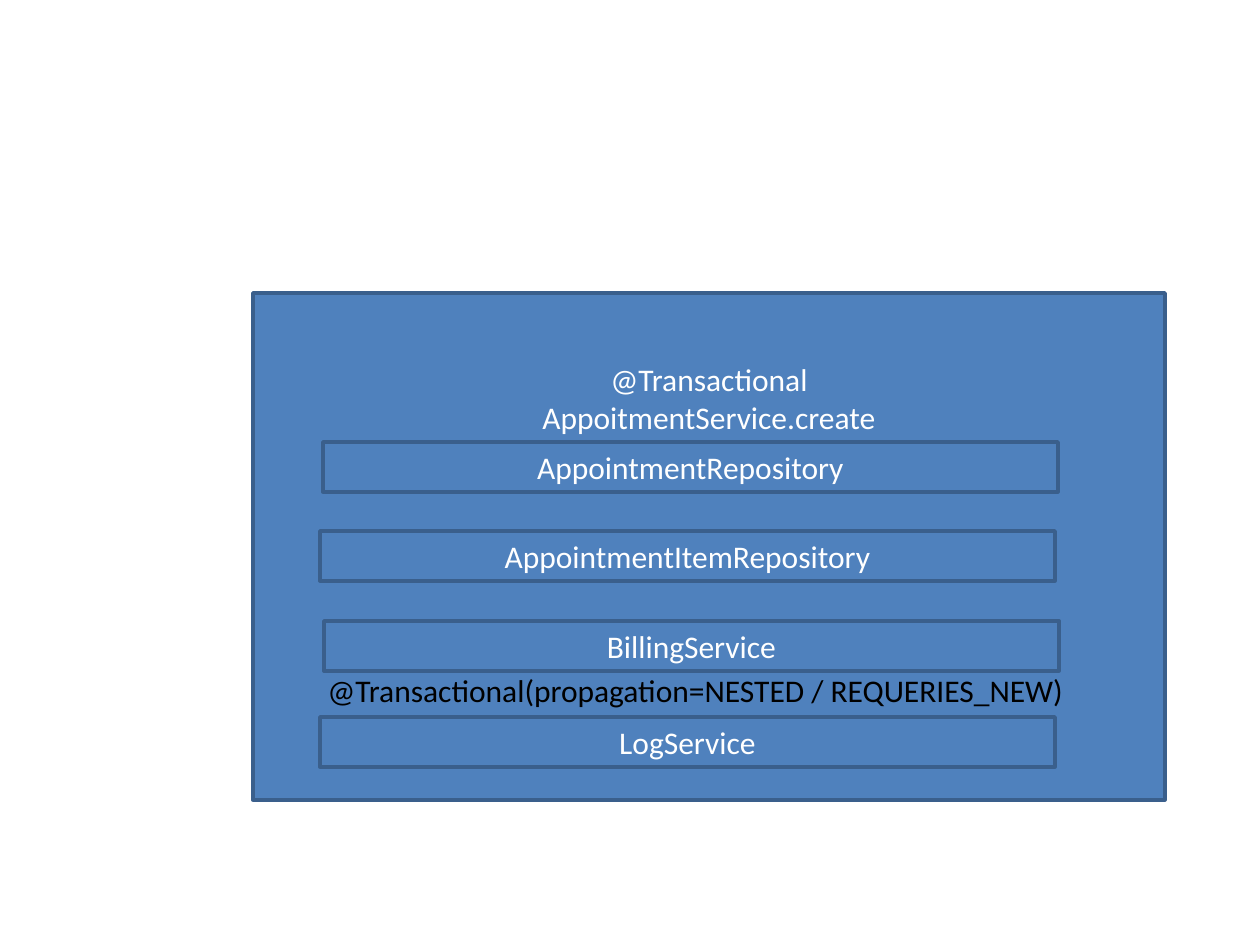
from pptx import Presentation
from pptx.dml.color import RGBColor
from pptx.enum.shapes import MSO_SHAPE as Shape
from pptx.enum.text import MSO_ANCHOR as Anchor, PP_ALIGN as Align
from pptx.util import Emu, Pt

SCALE = 914400 / 126
COLORS = {"fill": "4F81BD", "line": "3A5F8C", "light": "FFFFFF", "dark": "000000"}


def px(value):
    return Emu(round(value * SCALE))


def color(name):
    return RGBColor.from_string(COLORS[name])


def write(frame, lines, tone, align):
    para = frame.paragraphs[0]
    para.alignment = align
    for index, line in enumerate(lines):
        if index:
            para.add_line_break()
        span = para.add_run()
        span.text = line
        span.font.name = "Calibri"
        span.font.size = Pt(18)
        span.font.color.rgb = color(tone)


def add_block(page, left, top, width, height, lines):
    box = page.shapes.add_shape(Shape.RECTANGLE, px(left), px(top), px(width), px(height))
    box.shadow.inherit = False
    box.fill.solid()
    box.fill.fore_color.rgb = color("fill")
    box.line.color.rgb = color("line")
    box.line.width = Pt(2)
    frame = box.text_frame
    frame.word_wrap = True
    frame.vertical_anchor = Anchor.MIDDLE
    write(frame, lines, "light", Align.CENTER)
    return box


def add_note(page, left, top, width, height, text):
    box = page.shapes.add_textbox(px(left), px(top), px(width), px(height))
    box.text_frame.word_wrap = False
    write(box.text_frame, [text], "dark", Align.LEFT)


def add_transaction(page, left, top, width, height):
    # Outer service, its heading set above the nested calls
    service = add_block(page, left, top, width, height,
                        ["@Transactional", "AppoitmentService.create"])
    service.text_frame.vertical_anchor = Anchor.TOP
    service.text_frame.margin_top = px(67)

    # Nested calls: offsets inside the service box
    calls = [
        (70, 149, "AppointmentRepository"),
        (67, 238, "AppointmentItemRepository"),
        (71, 328, "BillingService"),
        (67, 424, "LogService"),
    ]
    for x, y, name in calls:
        add_block(page, left + x, top + y, 735, 50, [name])

    # Propagation of the last call
    add_note(page, left + 62, top + 372, 770, 51,
             "@Transactional(propagation=NESTED / REQUERIES_NEW)")


deck = Presentation()
deck.slide_width, deck.slide_height = px(1260), px(945)
page = deck.slides.add_slide(deck.slide_layouts[6])
add_transaction(page, 253, 293, 912, 507)
deck.save("out.pptx")
